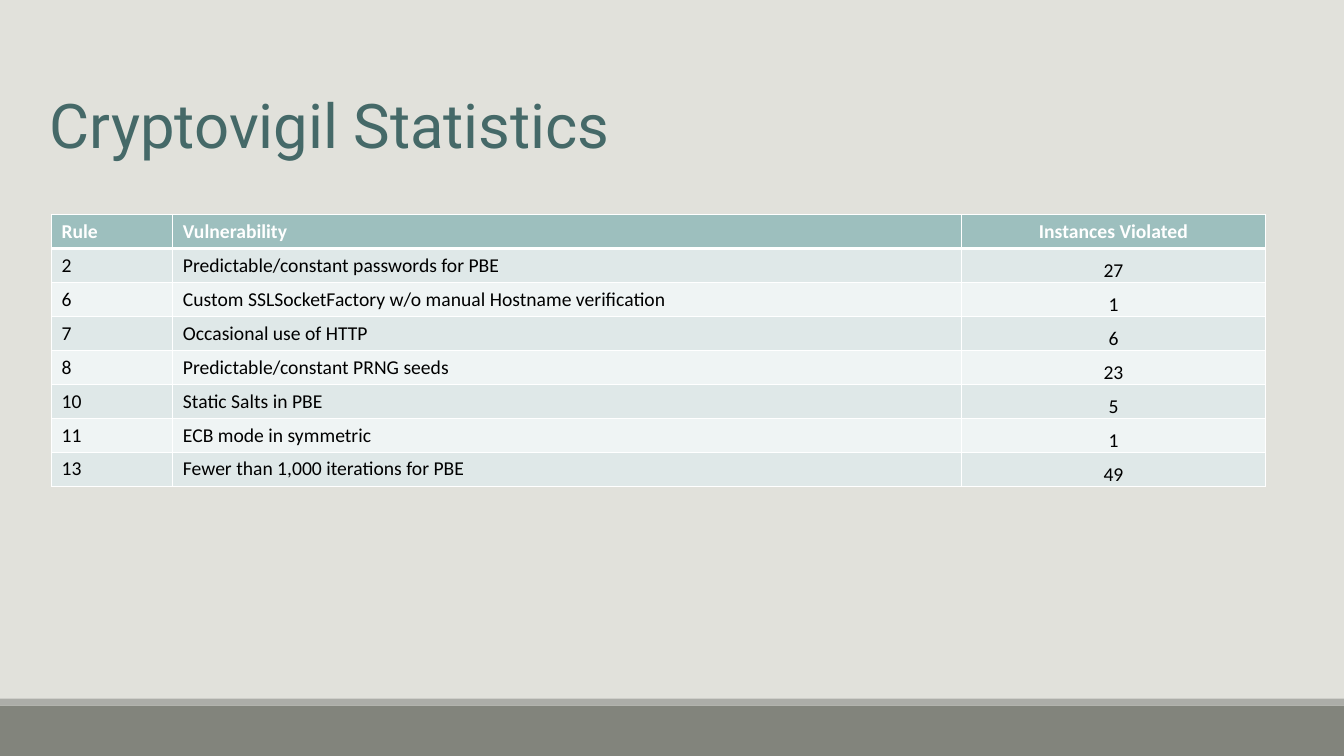
from lxml.etree import SubElement
from pptx import Presentation
from pptx.dml.color import RGBColor
from pptx.enum.shapes import MSO_SHAPE
from pptx.enum.text import MSO_ANCHOR, PP_ALIGN
from pptx.oxml.ns import qn
from pptx.util import Pt

BACKGROUND = RGBColor(0xE1, 0xE1, 0xDB)
BAR = RGBColor(0x82, 0x84, 0x7C)
STRIPE = RGBColor(0xAC, 0xAD, 0xA8)
TEAL = RGBColor(0x45, 0x69, 0x68)
HEADER = RGBColor(0x9D, 0xBF, 0xBE)
BANDS = (RGBColor(0xDF, 0xE8, 0xE8), RGBColor(0xEF, 0xF4, 0xF4))
WHITE = RGBColor(0xFF, 0xFF, 0xFF)
BLACK = RGBColor(0, 0, 0)

WIDTH, HEIGHT = 960, 540
COLUMN_SHARES = (0.1, 0.65, 0.25)
ROWS = (
    ("Rule", "Vulnerability", "Instances Violated"),
    ("2", "Predictable/constant passwords for PBE", "27"),
    ("6", "Custom SSLSocketFactory w/o manual Hostname verification", "1"),
    ("7", "Occasional use of HTTP", "6"),
    ("8", "Predictable/constant PRNG seeds", "23"),
    ("10", "Static Salts in PBE", "5"),
    ("11", "ECB mode in symmetric", "1"),
    ("13", "Fewer than 1,000 iterations for PBE", "49"),
)


def add_bar(slide, left, top, width, height, color):
    sp = slide.shapes.add_shape(
        MSO_SHAPE.RECTANGLE, Pt(left), Pt(top), Pt(width), Pt(height))
    sp.shadow.inherit = False
    sp.fill.solid()
    sp.fill.fore_color.rgb = color
    sp.line.fill.background()


def add_footer(slide, left, top, width, height):
    stripe = 5
    add_bar(slide, left, top + stripe, width, height - stripe, BAR)
    add_bar(slide, left, top, width, stripe, STRIPE)


def format_text(p, font, size, color, bold=False):
    for r in p.runs:
        r.font.name = font
        r.font.size = Pt(size)
        r.font.bold = bold
        r.font.color.rgb = color


def add_title(slide, left, top, width, height, text):
    sp = slide.shapes.add_textbox(Pt(left), Pt(top), Pt(width), Pt(height))
    tf = sp.text_frame
    tf.word_wrap = True
    tf.text = text
    format_text(tf.paragraphs[0], "Roboto", 44, TEAL)


def set_borders(cell, top, bottom):
    tc_pr = cell._tc.get_or_add_tcPr()
    widths = {"a:lnL": 1, "a:lnR": 1, "a:lnT": top, "a:lnB": bottom}
    for tag, width in widths.items():
        ln = SubElement(tc_pr, qn(tag), w=str(Pt(width)))
        fill = SubElement(ln, qn("a:solidFill"))
        SubElement(fill, qn("a:srgbClr"), val=str(WHITE))


def fill_cell(cell, text, row, col):
    is_header = row == 0
    set_borders(cell, 3 if row == 1 else 1, 3 if is_header else 1)
    cell.fill.solid()
    cell.fill.fore_color.rgb = HEADER if is_header else BANDS[(row - 1) % 2]
    cell.text_frame.text = text
    p = cell.text_frame.paragraphs[0]
    format_text(p, "Calibri", 14, WHITE if is_header else BLACK, is_header)
    if col == 2:
        p.alignment = PP_ALIGN.CENTER
        if not is_header:
            cell.vertical_anchor = MSO_ANCHOR.BOTTOM
            cell.margin_left = cell.margin_right = cell.margin_top = Pt(0.75)
            cell.margin_bottom = 0


def add_statistics(slide, left, top, width, height):
    table = slide.shapes.add_table(
        len(ROWS), len(COLUMN_SHARES),
        Pt(left), Pt(top), Pt(width), Pt(height)).table
    for column, share in zip(table.columns, COLUMN_SHARES):
        column.width = Pt(width * share)
    for i, texts in enumerate(ROWS):
        table.rows[i].height = Pt(height / len(ROWS))
        for j, text in enumerate(texts):
            fill_cell(table.cell(i, j), text, i, j)


def main():
    prs = Presentation()
    prs.slide_width, prs.slide_height = Pt(WIDTH), Pt(HEIGHT)
    slide = prs.slides.add_slide(prs.slide_layouts[6])
    slide.background.fill.solid()
    slide.background.fill.fore_color.rgb = BACKGROUND
    add_footer(slide, 0, HEIGHT - 41, WIDTH, 41)
    add_statistics(slide, 36.8, 153.2, 867, 192)
    add_title(slide, 28.4, 58.5, 679, 60.5, "Cryptovigil Statistics")
    prs.save("out.pptx")


if __name__ == "__main__":
    main()
